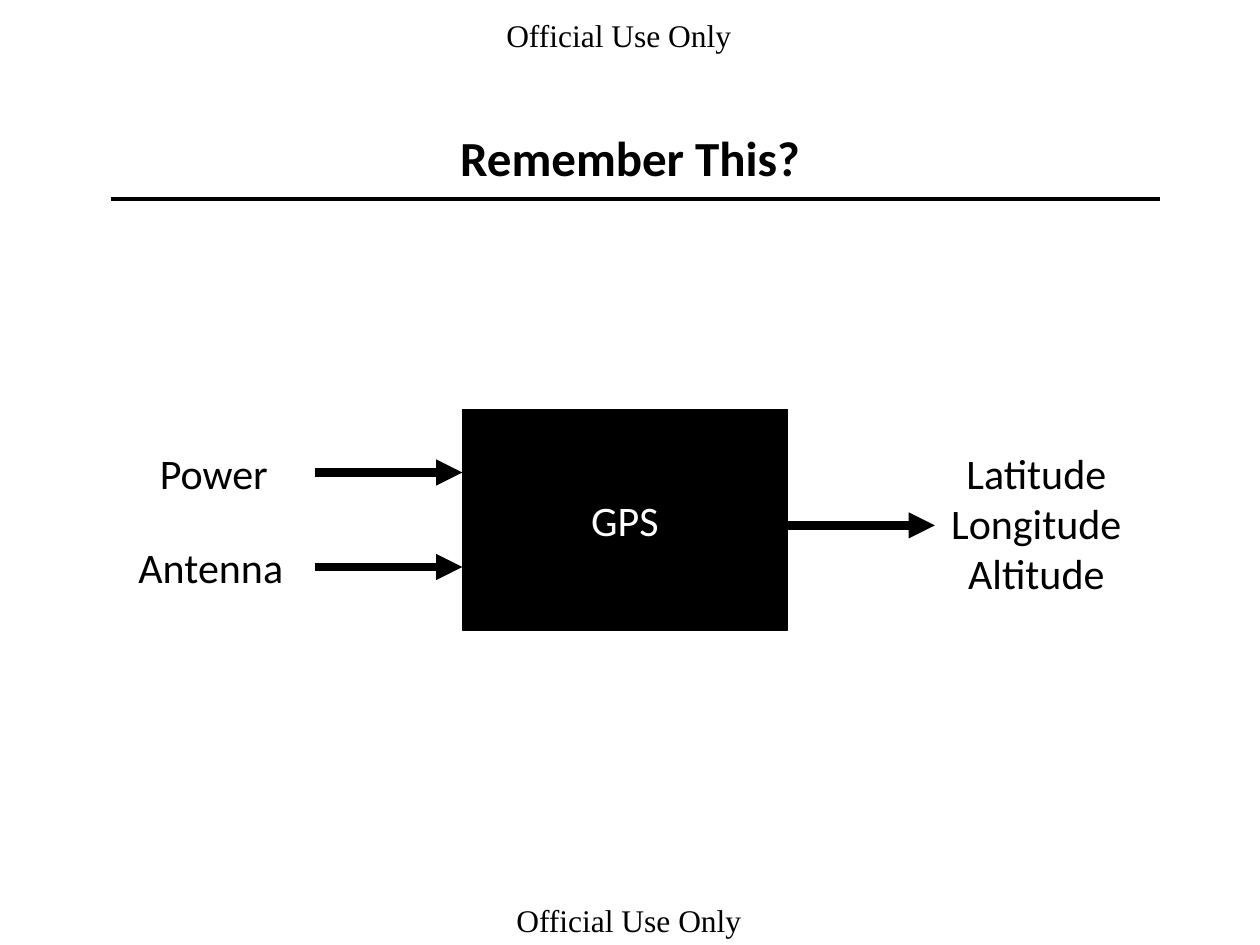
from pptx import Presentation
from pptx.dml.color import RGBColor
from pptx.enum.shapes import MSO_CONNECTOR as CONN, MSO_SHAPE as SHAPE
from pptx.enum.text import MSO_ANCHOR as ANCHOR, PP_ALIGN as ALIGN
from pptx.oxml.ns import qn
from pptx.util import Inches, Pt
from lxml.etree import SubElement

COLORS = {"ink": "000000", "paper": "FFFFFF"}


def color(name):
    return RGBColor.from_string(COLORS[name])


def write(tf, text, size=24, font="Calibri", ink="ink", bold=False,
          align=ALIGN.LEFT, anchor=ANCHOR.TOP, wrap=False):
    tf.text = text
    tf.word_wrap = wrap
    tf.vertical_anchor = anchor
    for p in tf.paragraphs:
        p.alignment = align
        for r in p.runs:
            r.font.size = Pt(size)
            r.font.name = font
            r.font.bold = bold
            r.font.color.rgb = color(ink)


class Deck:
    def __init__(self, prs):
        self.s = prs.slides.add_slide(prs.slide_layouts[5])
        fill = self.s.background.fill
        fill.solid()
        fill.fore_color.rgb = color("paper")

    def title(self, text, x, y, w, h):
        sp = self.s.shapes.title
        sp.left, sp.top, sp.width, sp.height = map(Inches, (x, y, w, h))
        write(sp.text_frame, text, size=28, bold=True,
              align=ALIGN.CENTER, anchor=ANCHOR.MIDDLE, wrap=True)

    def label(self, text, x, y, w, h, **style):
        sp = self.s.shapes.add_textbox(*map(Inches, (x, y, w, h)))
        write(sp.text_frame, text, **style)

    def box(self, text, x, y, w, h):
        sp = self.s.shapes.add_shape(SHAPE.RECTANGLE, *map(Inches, (x, y, w, h)))
        sp.shadow.inherit = False
        sp.fill.solid()
        sp.fill.fore_color.rgb = color("ink")
        sp.line.color.rgb = color("ink")
        sp.line.width = Pt(1)
        write(sp.text_frame, text, ink="paper", align=ALIGN.CENTER, anchor=ANCHOR.MIDDLE)

    def line(self, x1, x2, y, width, arrow=False):
        c = self.s.shapes.add_connector(CONN.STRAIGHT, *map(Inches, (x1, y, x2, y)))
        c.line.color.rgb = color("ink")
        c.line.width = Pt(width)
        if arrow:
            SubElement(c.line._get_or_add_ln(), qn("a:tailEnd"), type="triangle")
        SubElement(c._element.spPr, qn("a:effectLst"))


def main():
    prs = Presentation()
    prs.slide_width, prs.slide_height = Inches(10), Inches(7.5)
    deck = Deck(prs)

    deck.line(0.88, 9.21, 1.58, 2)
    for x, y in ((3.92, 0.08), (4, 7.1)):
        deck.label("Official Use Only", x, y, 2.17, 0.4,
                   size=18, font="Times New Roman", wrap=True)
    deck.title("Remember This?", 0.75, 0.58, 8.5, 1.33)

    deck.box("GPS", 3.67, 3.25, 2.58, 1.75)
    for text, x, y, w in (("Power", 1.17, 3.5, 1.07), ("Antenna", 1, 4.25, 1.35)):
        deck.label(text, x, y, w, 0.5)
        deck.line(2.5, 3.67, y + 0.25, 5, arrow=True)
    deck.line(6.25, 7.42, 4.17, 5, arrow=True)
    deck.label("Latitude\vLongitude\nAltitude", 7.45, 3.5, 1.55, 1.3, align=ALIGN.CENTER)

    prs.save("out.pptx")


if __name__ == "__main__":
    main()
